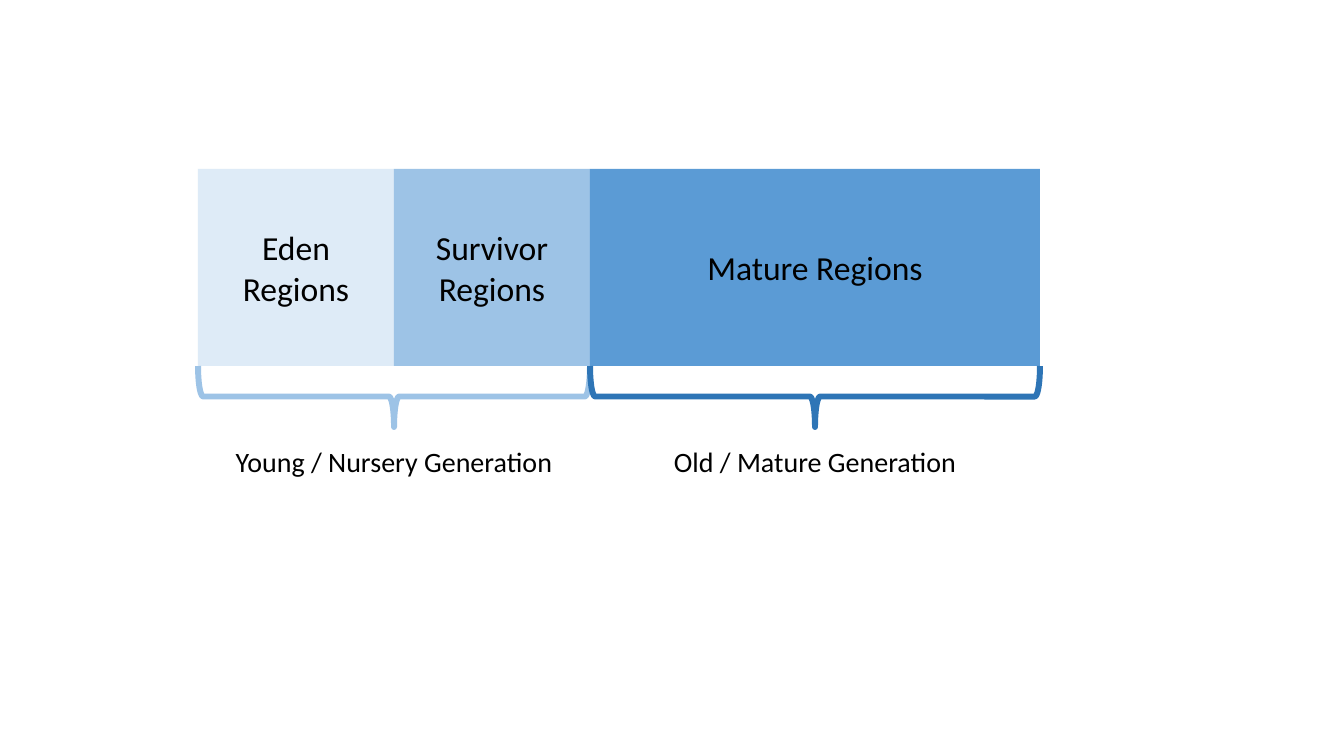
from pptx import Presentation
from pptx import util as u
from pptx.dml.color import RGBColor
from pptx.enum import shapes, text

SCALE = 914400 / 100.8  # EMU per pixel
LEFT, TOP, HEIGHT = 198, 169, 197
BRACE_H, LABEL_TOP, LABEL_H = 61, 440, 44

# Regions: lines, width, fill
REGIONS = [
    (["Eden", "Regions"], 196, "DEEBF7"),
    (["Survivor", "Regions"], 196, "9DC3E6"),
    (["Mature Regions"], 450, "5B9BD5"),
]
# Generations: label, label width, number of regions spanned, brace colour
GENERATIONS = [
    ("Young / Nursery Generation", 350, 2, "9DC3E6"),
    ("Old / Mature Generation", 308, 1, "2E75B6"),
]


def px(*values):
    return [u.Emu(round(v * SCALE)) for v in values]


def rgb(value):
    return RGBColor.from_string(value)


def write(sp, lines, size):
    tf = sp.text_frame
    tf.word_wrap = True
    for i, line in enumerate(lines):
        p = tf.paragraphs[0] if i == 0 else tf.add_paragraph()
        p.alignment = text.PP_ALIGN.CENTER
        r = p.add_run()
        r.text = line
        for name, value in {"name": "Calibri", "size": u.Pt(size)}.items():
            setattr(r.font, name, value)
        r.font.color.rgb = rgb("000000")
    return tf


def add_region(parts, x, width, lines, fill):
    sp = parts.add_shape(shapes.MSO_SHAPE.RECTANGLE, *px(x, TOP, width, HEIGHT))
    sp.shadow.inherit = False
    sp.fill.solid()
    sp.fill.fore_color.rgb = rgb(fill)
    sp.line.fill.background()
    write(sp, lines, 24).vertical_anchor = text.MSO_ANCHOR.MIDDLE


def add_brace(parts, x, span, color):
    # The frame is placed upright, then turned about its centre
    mid_x, mid_y = x + span / 2, TOP + HEIGHT + BRACE_H / 2
    sp = parts.add_shape(
        shapes.MSO_SHAPE.RIGHT_BRACE,
        *px(mid_x - BRACE_H / 2, mid_y - span / 2, BRACE_H, span))
    sp.rotation = 90
    sp.shadow.inherit = False
    sp.fill.background()
    sp.line.color.rgb = rgb(color)
    sp.line.width = u.Pt(4.25)


def add_label(parts, mid_x, width, label):
    sp = parts.add_textbox(*px(mid_x - width / 2, LABEL_TOP, width, LABEL_H))
    write(sp, [label], 20).auto_size = text.MSO_AUTO_SIZE.SHAPE_TO_FIT_TEXT


def main():
    prs = Presentation()
    prs.slide_width, prs.slide_height = px(1344, 756)
    slide = prs.slides.add_slide(prs.slide_layouts[6])
    parts = slide.shapes.add_group_shape().shapes

    # Heap regions, side by side
    edges = [LEFT]
    for lines, width, fill in REGIONS:
        add_region(parts, edges[-1], width, lines, fill)
        edges.append(edges[-1] + width)

    # Braces and labels of the generations
    labels, first = [], 0
    for label, width, count, color in GENERATIONS:
        x, end = edges[first], edges[first + count]
        add_brace(parts, x, end - x, color)
        labels.append(((x + end) / 2, width, label))
        first += count
    for item in labels:
        add_label(parts, *item)

    prs.save("out.pptx")


main()
